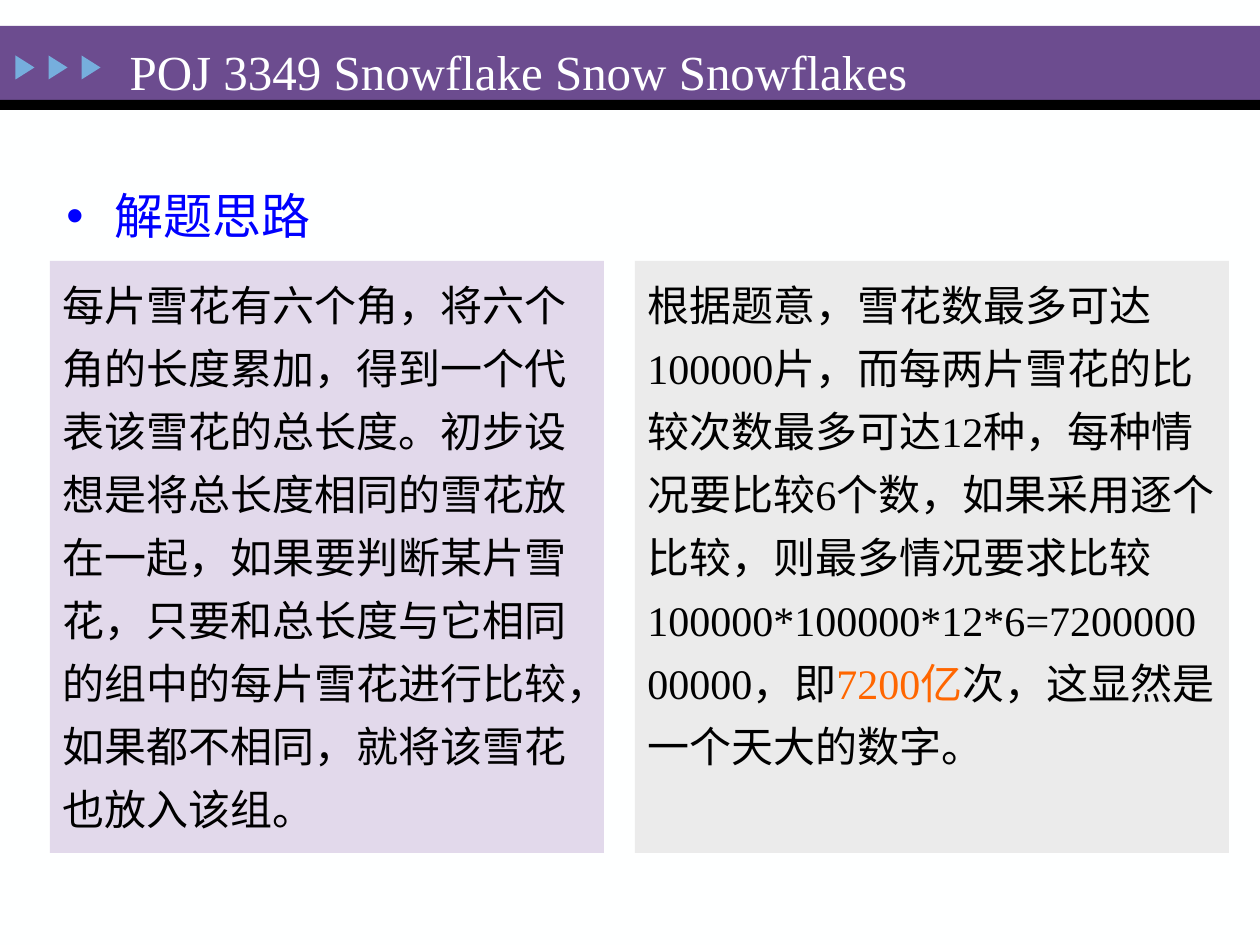
from lxml import etree
from pptx import Presentation
from pptx.dml.color import RGBColor
from pptx.enum.shapes import MSO_SHAPE
from pptx.enum.text import MSO_ANCHOR, MSO_AUTO_SIZE, PP_ALIGN
from pptx.oxml.ns import qn
from pptx.util import Pt

PX = 914400 // 126
RECTANGLE = MSO_SHAPE.RECTANGLE
TRIANGLE = MSO_SHAPE.ISOSCELES_TRIANGLE
LEFT, TOP, MIDDLE = PP_ALIGN.LEFT, MSO_ANCHOR.TOP, MSO_ANCHOR.MIDDLE
NO_AUTOFIT = MSO_AUTO_SIZE.NONE
FONT = "Times New Roman"
COLORS = {
    "background": "FEFFFF",
    "banner": "6C4C8F",
    "black": "000000",
    "arrow": "76AEDD",
    "heading": "0000FF",
    "idea_panel": "E2D9EB",
    "cost_panel": "EBEBEB",
    "highlight": "FF6600",
}


def add_filled_shape(kind, left, top, width, height, color):
    shape = slide.shapes.add_shape(kind, left * PX, top * PX, width * PX, height * PX)
    shape.shadow.inherit = False
    shape.fill.solid()
    shape.fill.fore_color.rgb = RGBColor.from_string(COLORS[color])
    shape.line.fill.background()
    return shape


def write_text(shape, runs, size, anchor=TOP, line_spacing=1.25):
    """Fill the first paragraph with (text, color) runs and return it."""
    frame = shape.text_frame
    frame.word_wrap = True
    frame.auto_size = NO_AUTOFIT
    frame.vertical_anchor = anchor
    paragraph = frame.paragraphs[0]
    paragraph.alignment = LEFT
    paragraph.line_spacing = line_spacing
    for text, color in runs:
        run = paragraph.add_run()
        run.text = text
        run.font.name = FONT
        run.font.size = Pt(size)
        run.font.color.rgb = RGBColor.from_string(COLORS[color])
    return paragraph


presentation = Presentation()
presentation.slide_width = 1260 * PX
presentation.slide_height = 945 * PX
slide = presentation.slides.add_slide(presentation.slide_layouts[5])
slide.background.fill.solid()
slide.background.fill.fore_color.rgb = RGBColor.from_string(COLORS["background"])

# Banner with three arrows
add_filled_shape(RECTANGLE, 0, 26, 1260, 74, "banner")
add_filled_shape(RECTANGLE, 0, 100, 1260, 10, "black")
for index in range(3):
    arrow = add_filled_shape(TRIANGLE, 13 + 33 * index, 58, 24, 19, "arrow")
    arrow.rotation = 90

# Title, brought in front of the banner
title = slide.shapes.title
title.left, title.top, title.width, title.height = 117 * PX, 32 * PX, 1142 * PX, 78 * PX
write_text(title, [("POJ 3349 Snowflake Snow Snowflakes", "background")], 28, MIDDLE, 1.0)
slide.shapes._spTree.append(title._element)

# Bulleted heading
heading = slide.shapes.add_textbox(54 * PX, 165 * PX, 1134 * PX, 96 * PX)
paragraph = write_text(heading, [("解题思路", "heading")], 28)
properties = paragraph._p.get_or_add_pPr()
properties.set("marL", str(48 * PX))
properties.set("indent", str(-48 * PX))
etree.SubElement(properties, qn("a:buFont")).set("typeface", "Arial")
etree.SubElement(properties, qn("a:buChar")).set("char", "•")

# Two text panels
panels = [
    (50, 554, "idea_panel", [
        ("每片雪花有六个角，将六个角的长度累加，得到一个代表该雪花的总长度。"
         "初步设想是将总长度相同的雪花放在一起，如果要判断某片雪花，"
         "只要和总长度与它相同的组中的每片雪花进行比较，如果都不相同，"
         "就将该雪花也放入该组。", "black"),
    ]),
    (635, 594, "cost_panel", [
        ("根据题意，雪花数最多可达100000片，而每两片雪花的比较次数最多可达12种，"
         "每种情况要比较6个数，如果采用逐个比较，则最多情况要求比较"
         "100000*100000*12*6=720000000000，即", "black"),
        ("7200亿", "highlight"),
        ("次，这显然是一个天大的数字。", "black"),
    ]),
]
for left, width, color, runs in panels:
    panel = add_filled_shape(RECTANGLE, left, 261, width, 592, color)
    write_text(panel, runs, 24)

presentation.save("out.pptx")
